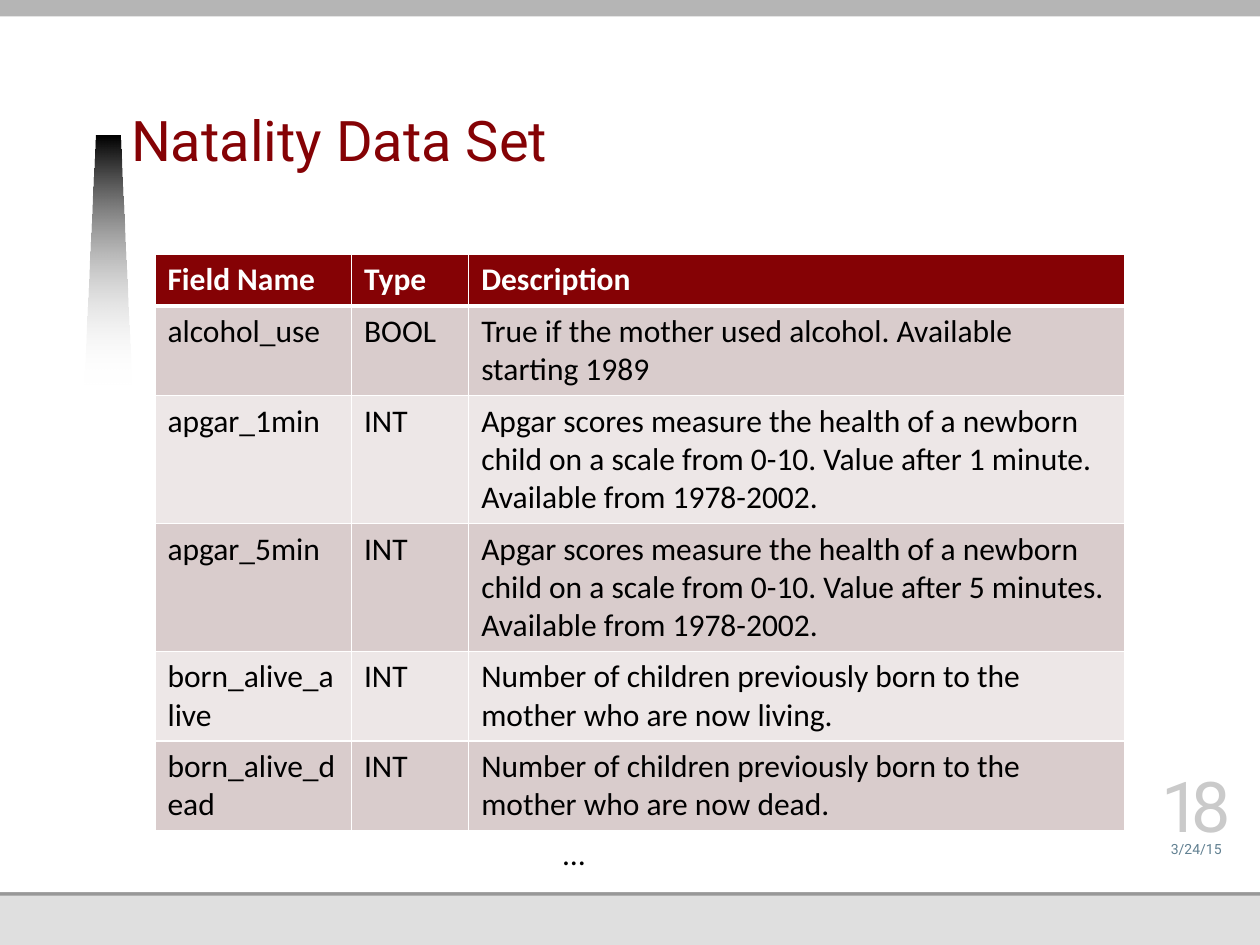
from dataclasses import dataclass

from lxml.etree import SubElement
from pptx import Presentation
from pptx.dml.color import RGBColor
from pptx.enum.shapes import MSO_SHAPE as Preset
from pptx.enum.text import MSO_ANCHOR as Anchor, MSO_AUTO_SIZE as AutoSize, PP_ALIGN as Align
from pptx.oxml.ns import qn
from pptx.util import Inches, Pt


@dataclass(frozen=True)
class Theme:
    heading_font: str = "Roboto"
    body_font: str = "Calibri"
    accent: str = "850205"
    white: str = "FFFFFF"
    black: str = "000000"
    footer: str = "DFDFDF"
    footer_edge: str = "989898"
    top_bar: str = "B5B5B5"
    date: str = "618091"
    number: str = "CACACA"
    row_bands: tuple = ("D9CCCC", "EDE7E7")
    title_size: int = 32
    body_size: int = 18
    date_size: int = 8
    number_size: int = 40


HEADERS = ("Field Name", "Type", "Description")
FIELDS = (
    ("alcohol_use", "BOOL", "True if the mother used alcohol. Available starting 1989"),
    ("apgar_1min", "INT", "Apgar scores measure the health of a newborn child on a scale "
                          "from 0-10. Value after 1 minute. Available from 1978-2002."),
    ("apgar_5min", "INT", "Apgar scores measure the health of a newborn child on a scale "
                          "from 0-10. Value after 5 minutes. Available from 1978-2002."),
    ("born_alive_alive", "INT",
     "Number of children previously born to the mother who are now living."),
    ("born_alive_dead", "INT",
     "Number of children previously born to the mother who are now dead."),
)


def set_attributes(target, values):
    for name, value in values.items():
        setattr(target, name, value)


class SlideBuilder:
    def __init__(self, slide, theme):
        self.slide = slide
        self.shapes = slide.shapes
        self.theme = theme

    def add_text(self, paragraph, text, size, color, font, bold=False):
        run = paragraph.add_run()
        run.text = text
        set_attributes(run.font, {"name": font, "size": Pt(size), "bold": bold})
        run.font.color.rgb = RGBColor.from_string(color)
        return run

    def format_frame(self, frame, margins, **values):
        sides = ("margin_left", "margin_top", "margin_right", "margin_bottom")
        set_attributes(frame, dict(zip(sides, map(Inches, margins))) | values)

    def rectangle(self, left, top, width, height, color):
        shape = self.shapes.add_shape(Preset.RECTANGLE, *map(Inches, (left, top, width, height)))
        shape.shadow.inherit = False
        shape.fill.solid()
        shape.fill.fore_color.rgb = RGBColor.from_string(color)
        shape.line.fill.background()

    def fading_outline(self, points):
        """Draw a closed outline that fades from black at the top to clear."""
        corners = [tuple(map(Inches, point)) for point in points]
        builder = self.shapes.build_freeform(*corners[0])
        builder.add_line_segments(corners[1:], close=True)
        shape = builder.convert_to_shape()
        shape.shadow.inherit = False
        shape.line.fill.background()
        shape.fill.gradient()
        shape.fill.gradient_angle = 270
        for stop, color in zip(shape.fill.gradient_stops, (self.theme.black, self.theme.white)):
            stop.color.rgb = RGBColor.from_string(color)
        clear_color = list(shape.element.iter(qn("a:srgbClr")))[-1]
        SubElement(clear_color, qn("a:alpha"), val="0")

    def title(self, text, left, top, width, height):
        theme = self.theme
        title = self.shapes.title
        set_attributes(title, {"left": Inches(left), "top": Inches(top),
                               "width": Inches(width), "height": Inches(height)})
        self.format_frame(title.text_frame, (0, 0, 0, 0.05), vertical_anchor=Anchor.BOTTOM,
                          word_wrap=True, auto_size=AutoSize.NONE)
        paragraph = title.text_frame.paragraphs[0]
        set_attributes(paragraph, {"alignment": Align.LEFT, "line_spacing": Pt(34)})
        self.add_text(paragraph, text, theme.title_size, theme.accent, theme.heading_font)
        # Bring the placeholder in front of the backdrop
        title.element.getparent().append(title.element)

    def label(self, text, box, size, color, font, margins=(0, 0, 0, 0), align=Align.CENTER,
              anchor=Anchor.BOTTOM, wrap=True, auto_size=AutoSize.NONE):
        shape = self.shapes.add_textbox(*map(Inches, box))
        self.format_frame(shape.text_frame, margins, vertical_anchor=anchor,
                          word_wrap=wrap, auto_size=auto_size)
        paragraph = shape.text_frame.paragraphs[0]
        paragraph.alignment = align
        return self.add_text(paragraph, text, size, color, font)

    def cell_borders(self, cell, widths):
        properties = cell._tc.get_or_add_tcPr()
        for index, (side, width) in enumerate(widths.items()):
            line = SubElement(properties, qn(f"a:ln{side}"), w=str(Pt(width)))
            fill = SubElement(line, qn("a:solidFill"))
            SubElement(fill, qn("a:srgbClr"), val=self.theme.white)
            properties.insert(index, line)

    def table(self, headers, records, left, top, column_widths, row_height):
        theme = self.theme
        rows = (headers, *records)
        frame = self.shapes.add_table(len(rows), len(headers), Inches(left), Inches(top),
                                      Inches(sum(column_widths)), Inches(row_height * len(rows)))
        table = frame.table
        for column, width in zip(table.columns, column_widths):
            column.width = Inches(width)
        for row_index, values in enumerate(rows):
            table.rows[row_index].height = Inches(row_height)
            is_header = row_index == 0
            background = theme.accent if is_header else theme.row_bands[(row_index - 1) % 2]
            borders = {"L": 1, "R": 1, "T": 3 if row_index == 1 else 1, "B": 3 if is_header else 1}
            for column_index, text in enumerate(values):
                cell = table.cell(row_index, column_index)
                cell.fill.solid()
                cell.fill.fore_color.rgb = RGBColor.from_string(background)
                self.cell_borders(cell, borders)
                self.add_text(cell.text_frame.paragraphs[0], text, theme.body_size,
                              theme.white if is_header else theme.black, theme.body_font,
                              is_header)


def main():
    presentation = Presentation()
    set_attributes(presentation, {"slide_width": Inches(10), "slide_height": Inches(7.5)})
    theme = Theme()
    slide = presentation.slides.add_slide(presentation.slide_layouts[5])
    builder = SlideBuilder(slide, theme)

    builder.rectangle(0, 0, 10, 7.5, theme.footer)
    builder.rectangle(0, 1.78, 10, 5.33, theme.footer_edge)
    builder.rectangle(0, 0, 10, 7.08, theme.white)
    builder.fading_outline([(0.67, 3.05), (0.76, 1.08), (0.95, 1.08), (1.04, 3.05)])
    builder.rectangle(0, 0, 10, 0.13, theme.top_bar)

    builder.title("Natality Data Set", 1.04, 0.34, 6.87, 1.08)
    builder.table(HEADERS, FIELDS, 1.23, 2.02, (1.56, 0.93, 5.21), 0.41)
    builder.label("3/24/15", (9.13, 6.58, 0.73, 0.22), theme.date_size, theme.date,
                  theme.heading_font)
    number = builder.label("18", (9.13, 6.16, 0.73, 0.56), theme.number_size, theme.number,
                           theme.heading_font)
    number.font._element.set("spc", "-500")
    builder.label("…", (4.37, 6.57, 0.38, 0.4), theme.body_size, theme.black, theme.body_font,
                  margins=(0.1, 0.05, 0.1, 0.05), align=Align.LEFT, anchor=Anchor.TOP,
                  wrap=False, auto_size=AutoSize.SHAPE_TO_FIT_TEXT)
    presentation.save("out.pptx")


if __name__ == "__main__":
    main()
